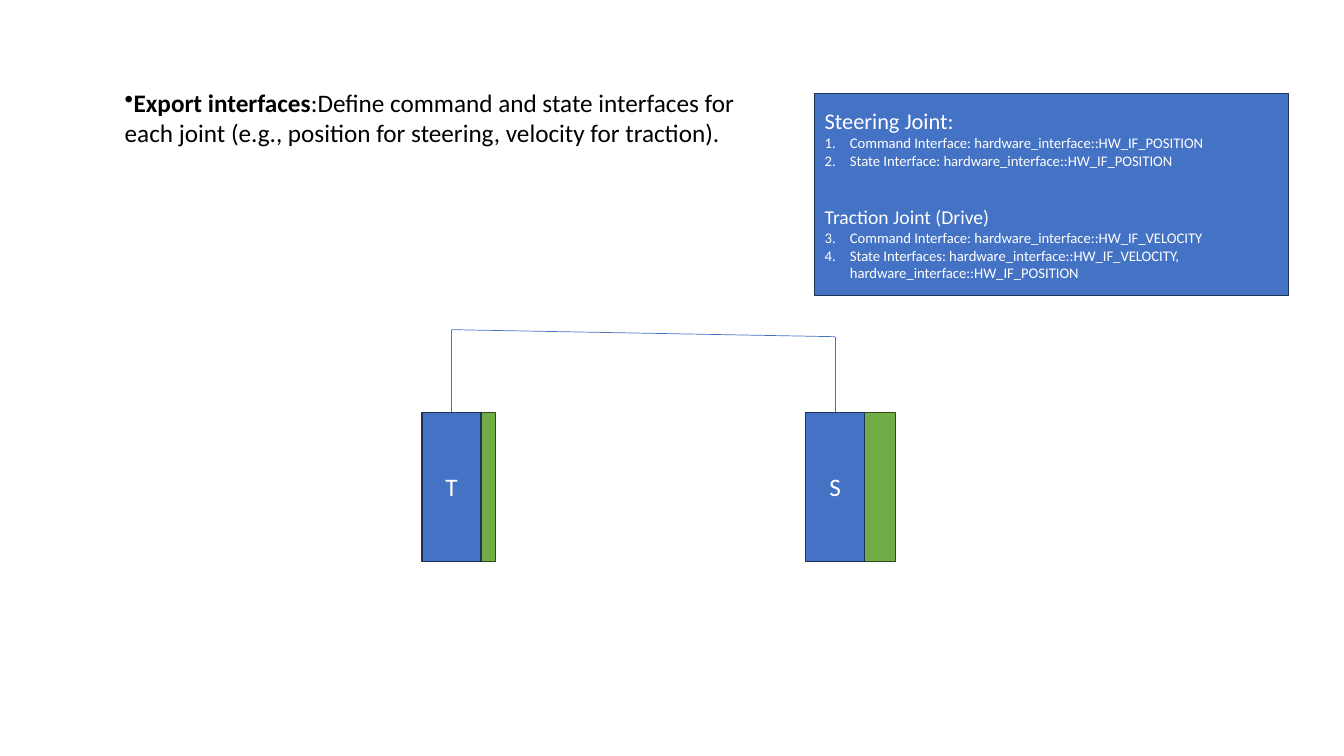
from dataclasses import dataclass

import pptx
import pptx.dml.color
import pptx.enum.shapes
import pptx.enum.text
import pptx.oxml
import pptx.oxml.ns
import pptx.presentation
import pptx.shapes.autoshape
import pptx.shapes.connector
import pptx.slide
import pptx.text.text
import pptx.util

Pt = pptx.util.Pt
RGBColor = pptx.dml.color.RGBColor
PP_ALIGN = pptx.enum.text.PP_ALIGN
MSO_ANCHOR = pptx.enum.text.MSO_ANCHOR

BLUE = RGBColor(0x44, 0x72, 0xC4)
BLUE_EDGE = RGBColor(0x1E, 0x32, 0x56)
GREEN = RGBColor(0x70, 0xAD, 0x47)
GREEN_EDGE = RGBColor(0x31, 0x4C, 0x1F)
WHITE = RGBColor(0xFF, 0xFF, 0xFF)
BLACK = RGBColor(0x00, 0x00, 0x00)

WHEEL_TOP = 294.5
WHEEL_WIDTH = 42
WHEEL_HEIGHT = 106.5
LIST_INDENT = 18


@dataclass(frozen=True)
class Wheel:
    label: str
    left: float
    green_left: float
    axle_y: float

    @property
    def center(self) -> float:
        return self.left + WHEEL_WIDTH / 2


@dataclass(frozen=True)
class Joint:
    title: str
    size: float
    space_before: float
    first_number: int
    interfaces: tuple[str, ...]


WHEELS = (
    Wheel("T", 301.5, 312, 235.5),
    Wheel("S", 575.5, 597.5, 240.5),
)

JOINTS = (
    Joint("Steering Joint:", 16, 0, 1, (
        "Command Interface: hardware_interface::HW_IF_POSITION",
        "State Interface: hardware_interface::HW_IF_POSITION",
    )),
    Joint("Traction Joint (Drive)", 14, 25.6, 3, (
        "Command Interface: hardware_interface::HW_IF_VELOCITY",
        "State Interfaces: hardware_interface::HW_IF_VELOCITY, hardware_interface::HW_IF_POSITION",
    )),
)


def add_text(p: pptx.text.text._Paragraph, text: str, *, size: float,
             color: RGBColor = WHITE, bold: bool = False) -> None:
    r = p.add_run()
    r.text = text
    r.font.name = "Calibri"
    r.font.size = Pt(size)
    r.font.bold = bold
    r.font.color.rgb = color


def add_bullet(p: pptx.text.text._Paragraph, tag: str, indent: float, **attributes: str) -> None:
    pPr = p._p.get_or_add_pPr()
    pPr.set("marL", str(Pt(indent)))
    pPr.set("indent", str(-Pt(indent)))
    bullet = pptx.oxml.parse_xml(f"<a:{tag} {pptx.oxml.ns.nsdecls('a')}/>")
    for name, value in attributes.items():
        bullet.set(name, value)
    pPr.append(bullet)


def add_box(s: pptx.slide.Slide, left: float, top: float, width: float, height: float,
            fill: RGBColor, edge: RGBColor) -> pptx.shapes.autoshape.Shape:
    sp = s.shapes.add_shape(pptx.enum.shapes.MSO_SHAPE.RECTANGLE,
                            Pt(left), Pt(top), Pt(width), Pt(height))
    sp.shadow.inherit = False
    sp.fill.solid()
    sp.fill.fore_color.rgb = fill
    sp.line.color.rgb = edge
    sp.line.width = Pt(1)
    sp.text_frame.word_wrap = True
    sp.text_frame.vertical_anchor = MSO_ANCHOR.MIDDLE
    return sp


def add_line(s: pptx.slide.Slide, x1: float, y1: float,
             x2: float, y2: float) -> pptx.shapes.connector.Connector:
    line = s.shapes.add_connector(pptx.enum.shapes.MSO_CONNECTOR.STRAIGHT,
                                  Pt(x1), Pt(y1), Pt(x2), Pt(y2))
    line.line.color.rgb = BLUE
    line.line.width = Pt(0.5)
    line._element.spPr.append(
        pptx.oxml.parse_xml(f"<a:effectLst {pptx.oxml.ns.nsdecls('a')}/>"))
    return line


def add_intro(s: pptx.slide.Slide) -> None:
    sp = s.shapes.add_textbox(Pt(82), Pt(59), Pt(480), Pt(51))
    tf = sp.text_frame
    tf.word_wrap = True
    p = tf.paragraphs[0]
    add_bullet(p, "buChar", 0, char="•")
    add_text(p, "Export interfaces", size=18, color=BLACK, bold=True)
    add_text(p, ":Define command and state interfaces for each joint "
                "(e.g., position for steering, velocity for traction).", size=18, color=BLACK)


def add_wheels(s: pptx.slide.Slide) -> None:
    for wheel in WHEELS:
        add_box(s, wheel.green_left, WHEEL_TOP, WHEEL_WIDTH, WHEEL_HEIGHT, GREEN, GREEN_EDGE)
    for wheel in WHEELS:
        sp = add_box(s, wheel.left, WHEEL_TOP, WHEEL_WIDTH, WHEEL_HEIGHT, BLUE, BLUE_EDGE)
        p = sp.text_frame.paragraphs[0]
        p.alignment = PP_ALIGN.CENTER
        add_text(p, wheel.label, size=18)
        post = add_line(s, wheel.center, wheel.axle_y, wheel.center, WHEEL_TOP)
        post.end_connect(sp, 0)
    traction, steering = WHEELS
    add_line(s, traction.center, traction.axle_y, steering.center, steering.axle_y)


def add_joints(s: pptx.slide.Slide) -> None:
    tf = add_box(s, 582, 67, 338.5, 144, BLUE, BLUE_EDGE).text_frame
    for i, joint in enumerate(JOINTS):
        p = tf.add_paragraph() if i else tf.paragraphs[0]
        p.alignment = PP_ALIGN.LEFT
        p.space_before = Pt(joint.space_before)
        add_text(p, joint.title, size=joint.size)
        for interface in joint.interfaces:
            p = tf.add_paragraph()
            p.alignment = PP_ALIGN.LEFT
            add_bullet(p, "buAutoNum", LIST_INDENT, type="arabicPeriod",
                       startAt=str(joint.first_number))
            add_text(p, interface, size=10.5)


def main() -> None:
    prs = pptx.Presentation()
    prs.slide_width = Pt(960)
    prs.slide_height = Pt(540)
    s = prs.slides.add_slide(prs.slide_layouts[6])
    add_intro(s)
    add_wheels(s)
    add_joints(s)
    prs.save("out.pptx")


if __name__ == "__main__":
    main()
